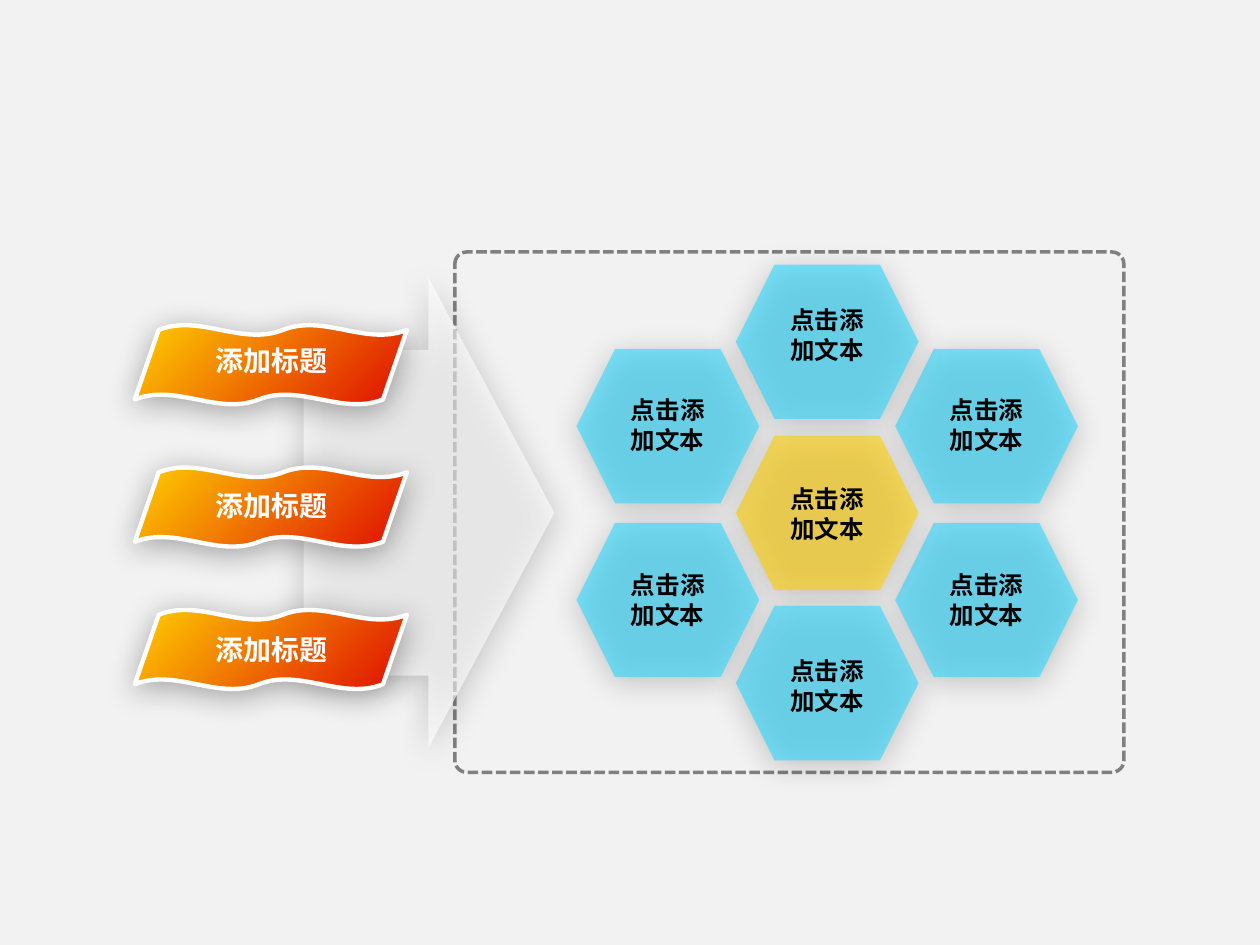
from dataclasses import dataclass

from lxml.etree import SubElement
from pptx import Presentation
from pptx.dml.color import RGBColor
from pptx.enum.dml import MSO_LINE
from pptx.enum.shapes import MSO_SHAPE
from pptx.enum.text import PP_ALIGN
from pptx.oxml.ns import qn
from pptx.util import Inches, Pt


@dataclass(frozen=True)
class Theme:
    font: str = "Noto Sans CJK SC"
    background: str = "F2F2F2"
    frame: str = "808080"
    light: str = "FFFFFF"
    dark: str = "000000"
    cell: str = "2DD7FF"
    core: str = "FFCF01"
    banner_end: str = "E22000"
    cell_size: float = 14
    banner_size: float = 16
    leading: float = 1.22
    opacity: int = 60


class Board:
    COLUMNS, ROWS = 100, 75

    def __init__(self, deck, theme):
        self.theme = theme
        self.column = deck.slide_width / self.COLUMNS
        self.row = deck.slide_height / self.ROWS
        self.slide = deck.slides.add_slide(deck.slide_layouts[6])
        fill = self.slide.background.fill
        fill.solid()
        fill.fore_color.rgb = RGBColor.from_string(theme.background)

    def place(self, left, top, width, height):
        return [round(left * self.column), round(top * self.row),
                round(width * self.column), round(height * self.row)]

    def outline(self, shape, color, width):
        shape.line.color.rgb = RGBColor.from_string(color)
        shape.line.width = Pt(width)

    def cast_shadow(self, shape):
        shape.shadow.inherit = False
        effects = shape._element.spPr.find(qn("a:effectLst"))
        shadow = SubElement(effects, qn("a:outerShdw"), blurRad=str(Pt(17.8)),
                            dist=str(Pt(3)), dir=str(87 * 60000),
                            algn="ctr", rotWithShape="0")
        color = SubElement(shadow, qn("a:srgbClr"), val=self.theme.dark)
        SubElement(color, qn("a:alpha"), val="33000")

    def frame(self, *box):
        border = self.slide.shapes.add_shape(
            MSO_SHAPE.ROUNDED_RECTANGLE, *self.place(*box))
        border.adjustments[0] = 0.023
        border.shadow.inherit = False
        border.fill.background()
        self.outline(border, self.theme.frame, 2)
        border.line.dash_style = MSO_LINE.SQUARE_DOT

    def glass(self, kind, color, *box):
        pane = self.slide.shapes.add_shape(kind, *self.place(*box))
        pane.fill.solid()
        pane.fill.fore_color.rgb = RGBColor.from_string(color)
        tint = pane._element.spPr.find(qn("a:solidFill"))[0]
        SubElement(tint, qn("a:alpha"), val=str(self.theme.opacity * 1000))
        pane.line.fill.background()
        self.cast_shadow(pane)
        return pane

    def arrow(self, *box):
        arrow = self.glass(MSO_SHAPE.RIGHT_ARROW, self.theme.light, *box)
        arrow.adjustments[0] = 0.691
        arrow.adjustments[1] = 0.503

    def label(self, shapes, words, size, color, *box):
        label = shapes.add_textbox(*self.place(*box))
        label.text_frame.word_wrap = True
        paragraph = label.text_frame.paragraphs[0]
        paragraph.text = words
        paragraph.alignment = PP_ALIGN.CENTER
        paragraph.line_spacing = Pt(round(size * self.theme.leading, 1))
        font = paragraph.font
        font.name = self.theme.font
        font.size = Pt(size)
        font.bold = True
        font.color.rgb = RGBColor.from_string(color)
        SubElement(font._element, qn("a:ea"), typeface=self.theme.font)

    def cell(self, words, color, center, middle, label_middle):
        self.glass(MSO_SHAPE.HEXAGON, color,
                   center - 7.25, middle - 6.15, 14.5, 12.25)
        self.label(self.slide.shapes, words, self.theme.cell_size,
                   self.theme.dark, center - 4.5, label_middle - 2.95, 9, 5.9)

    def banner(self, words, left, top, label_top):
        group = self.slide.shapes.add_group_shape()
        flag = group.shapes.add_shape(
            MSO_SHAPE.DOUBLE_WAVE, *self.place(left, top, 21.6, 6.3))
        flag.adjustments[0] = 0.062
        flag.adjustments[1] = -0.044
        flag.fill.gradient()
        flag.fill.gradient_angle = 315
        ramp = ((0, self.theme.core), (0.9, self.theme.banner_end))
        for stop, (position, color) in zip(flag.fill.gradient_stops, ramp):
            stop.position = position
            stop.color.rgb = RGBColor.from_string(color)
        self.outline(flag, self.theme.light, 2.5)
        self.cast_shadow(flag)
        self.label(group.shapes, words, self.theme.banner_size,
                   self.theme.light, left + 0.7, label_top, 20.3, 3.7)


def main():
    deck = Presentation()
    deck.slide_width, deck.slide_height = Inches(10), Inches(7.5)
    theme = Theme()
    board = Board(deck, theme)

    board.frame(36.1, 20, 53.1, 41.3)
    board.arrow(24.1, 22, 19.9, 37.4)

    center, spread = 65.65, 12.65
    side_rows = ((33.85, 33.75), (47.65, 47.65))
    middle_rows = ((27.15, 26.65, theme.cell), (40.75, 40.85, theme.core),
                   (54.25, 54.45, theme.cell))
    honeycomb = [(center + side * spread, *row, theme.cell)
                 for side in (1, -1) for row in side_rows]
    honeycomb[2:2] = [(center, *row) for row in middle_rows]
    for column, middle, label_middle, color in honeycomb:
        board.cell("点击添加文本", color, column, middle, label_middle)

    for index in range(3):
        board.banner("添加标题", 10.7, 25.8 + index * 11.3, 26.7 + index * 11.5)

    deck.save("out.pptx")


if __name__ == "__main__":
    main()
